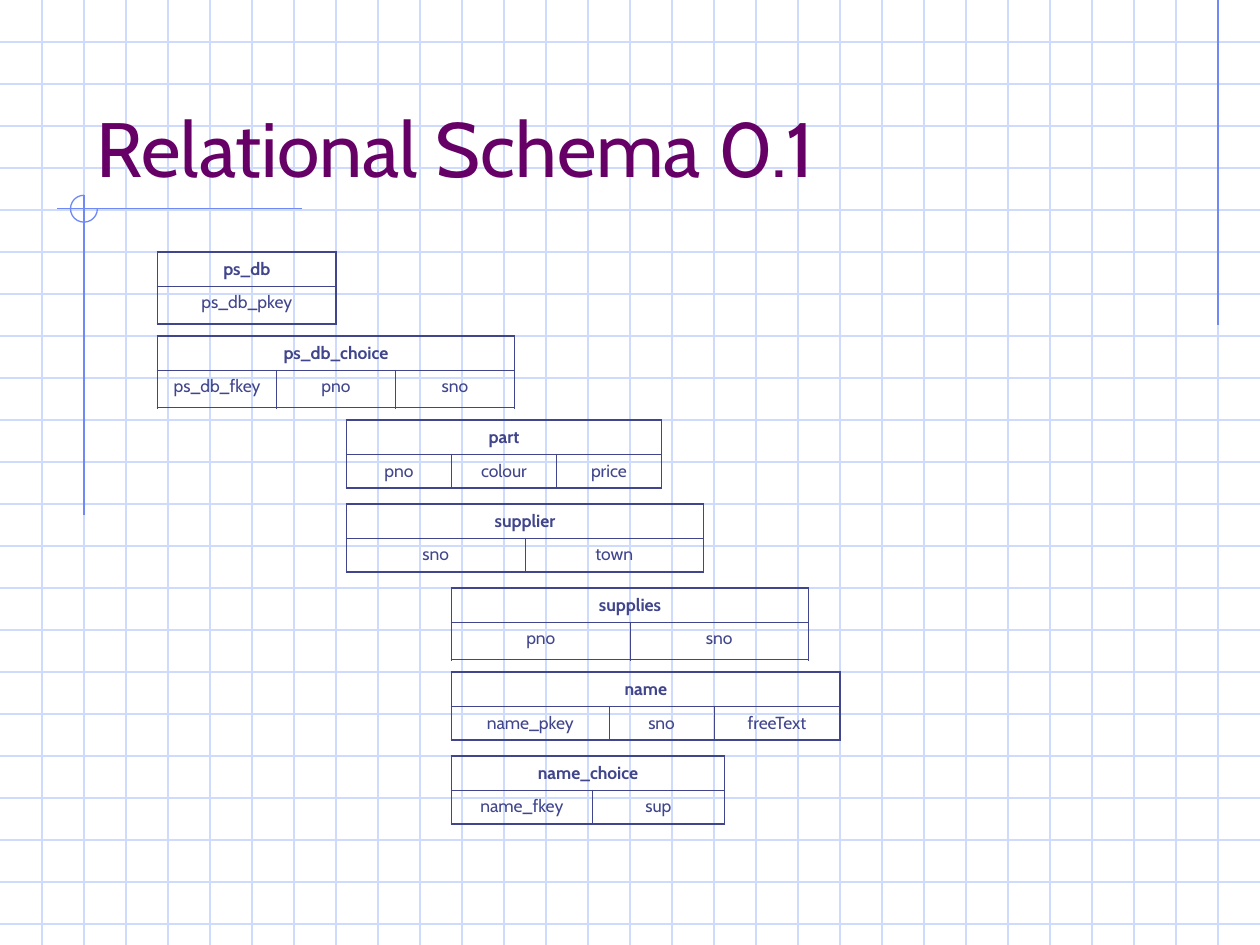
from dataclasses import dataclass

from lxml.etree import SubElement
from pptx import Presentation
from pptx.dml.color import RGBColor
from pptx.enum.shapes import MSO_CONNECTOR, MSO_SHAPE
from pptx.enum.text import MSO_ANCHOR, MSO_AUTO_SIZE, PP_ALIGN
from pptx.oxml import parse_xml
from pptx.oxml.ns import nsdecls, qn
from pptx.util import Inches, Pt

WIDTH, HEIGHT = 10, 7.5
UNIT = 1 / 3  # side of one graph-paper square, in inches
COLUMNS, ROWS = int(WIDTH / UNIT), int(HEIGHT / UNIT)


@dataclass(frozen=True)
class Theme:
    font: str = "Cabin"
    title: str = "660066"
    ink: str = "40458C"
    grid: str = "CFDBFD"
    accent: str = "6F89F7"
    title_size: float = 44
    cell_size: float = 10
    guide_width: float = 0.75
    outer_border: float = 1.08
    inner_border: float = 0.45


THEME = Theme()

# name, left and top in squares, key row height, (field, width in squares)
RELATIONS = [
    ("ps_db", 3.75, 6, 0.9, [("ps_db_pkey", 4.25)]),
    ("ps_db_choice", 3.75, 8, 0.9,
     [(field, 8.5 / 3) for field in ("ps_db_fkey", "pno", "sno")]),
    ("part", 8.25, 10, 0.8,
     [(field, 2.5) for field in ("pno", "colour", "price")]),
    ("supplier", 8.25, 12, 0.8, [("sno", 4.25), ("town", 4.25)]),
    ("supplies", 10.75, 14, 0.9, [("pno", 4.25), ("sno", 4.25)]),
    ("name", 10.75, 16, 0.8,
     [("name_pkey", 3.75), ("sno", 2.5), ("freeText", 3)]),
    ("name_choice", 10.75, 18, 0.8, [("name_fkey", 3.35), ("sup", 3.15)]),
]
HEADER_HEIGHT = 0.8


def squares(count):
    return Inches(count * UNIT)


def style_font(paragraph, size, color, bold=False):
    font = paragraph.font
    font.name, font.size, font.bold = THEME.font, Pt(size), bold
    font.color.rgb = RGBColor.from_string(color)


def add_guide(slide, x1, y1, x2, y2, color):
    """Draw a straight line between two points given in squares."""
    guide = slide.shapes.add_connector(
        MSO_CONNECTOR.STRAIGHT, *map(squares, (x1, y1, x2, y2)))
    guide.line.color.rgb = RGBColor.from_string(color)
    guide.line.width = Pt(THEME.guide_width)
    SubElement(guide.element.spPr, qn("a:effectLst"))


def add_graph_paper(slide):
    for row in range(1, ROWS + 1):
        add_guide(slide, 0, row, COLUMNS, row, THEME.grid)
    for column in range(1, COLUMNS):
        add_guide(slide, column, 0, column, ROWS + 0.5, THEME.grid)


def add_drafting_marks(slide, x, y, radius):
    """Draw the accent lines and the open circle around their crossing."""
    add_guide(slide, COLUMNS - 1, 0, COLUMNS - 1, 7.75, THEME.accent)
    add_guide(slide, x + 5.2, y, x - 0.65, y, THEME.accent)
    add_guide(slide, x, y - radius, x, y + 7.3, THEME.accent)
    circle = slide.shapes.add_shape(
        MSO_SHAPE.ARC, squares(x - radius), squares(y - radius),
        squares(2 * radius), squares(2 * radius))
    circle.adjustments[0] = 0
    circle.adjustments[1] = 162  # 270 degrees, in units of 100000/60000
    circle.shadow.inherit = False
    circle.fill.background()
    circle.line.color.rgb = RGBColor.from_string(THEME.accent)
    circle.line.width = Pt(THEME.guide_width)


def place_title(slide, text, left, top, width, height):
    title = slide.shapes.title
    slide.shapes.element.append(title.element)  # in front of the graph paper
    title.left, title.top = squares(left), squares(top)
    title.width, title.height = squares(width), squares(height)
    frame = title.text_frame
    frame.text = text
    frame.word_wrap = True
    frame.auto_size = MSO_AUTO_SIZE.NONE
    frame.vertical_anchor = MSO_ANCHOR.BOTTOM
    heading = frame.paragraphs[0]
    heading.alignment = PP_ALIGN.LEFT
    style_font(heading, THEME.title_size, THEME.title)


def set_borders(cell, **widths):
    """Set the borders L, R, T and B of a cell to widths in points."""
    properties = cell._tc.get_or_add_tcPr()
    for position, (side, width) in enumerate(widths.items()):
        properties.insert(position, parse_xml(
            f'<a:ln{side} {nsdecls("a")} w="{Pt(width)}"><a:solidFill>'
            f'<a:srgbClr val="{THEME.ink}"/></a:solidFill></a:ln{side}>'))


def fill_cell(cell, text, bold):
    label = cell.text_frame.paragraphs[0]
    label.text = text
    label.alignment = PP_ALIGN.CENTER
    style_font(label, THEME.cell_size, THEME.ink, bold)


def add_relation(slide, name, left, top, key_height, fields):
    """Draw a relation: its name above a row of its fields."""
    heights = HEADER_HEIGHT, key_height
    count = len(fields)
    table = slide.shapes.add_table(
        2, count, squares(left), squares(top),
        squares(sum(width for _, width in fields)),
        squares(sum(heights))).table
    table.first_row = table.horz_banding = False
    for row, height in zip(table.rows, heights):
        row.height = squares(height)
    outer, inner = THEME.outer_border, THEME.inner_border
    for index, (field, width) in enumerate(fields):
        table.columns[index].width = squares(width)
        header, key = table.cell(0, index), table.cell(1, index)
        for cell in (header, key):
            cell.fill.background()
        set_borders(header, L=outer, R=outer, T=outer, B=inner)
        set_borders(key, L=inner if index else outer,
                    R=inner if index < count - 1 else outer,
                    T=inner, B=outer)
        fill_cell(key, field, bold=False)
    heading = table.cell(0, 0)
    if count > 1:
        heading.merge(table.cell(0, count - 1))
    fill_cell(heading, name, bold=True)


def main():
    deck = Presentation()
    deck.slide_width, deck.slide_height = Inches(WIDTH), Inches(HEIGHT)
    slide = deck.slides.add_slide(deck.slide_layouts.get_by_name("Title Only"))
    add_graph_paper(slide)
    add_drafting_marks(slide, x=2, y=4.97, radius=0.32)
    place_title(slide, "Relational Schema 0.1", 2, 1, 25.5, 3.75)
    for relation in RELATIONS:
        add_relation(slide, *relation)
    deck.save("out.pptx")


if __name__ == "__main__":
    main()
